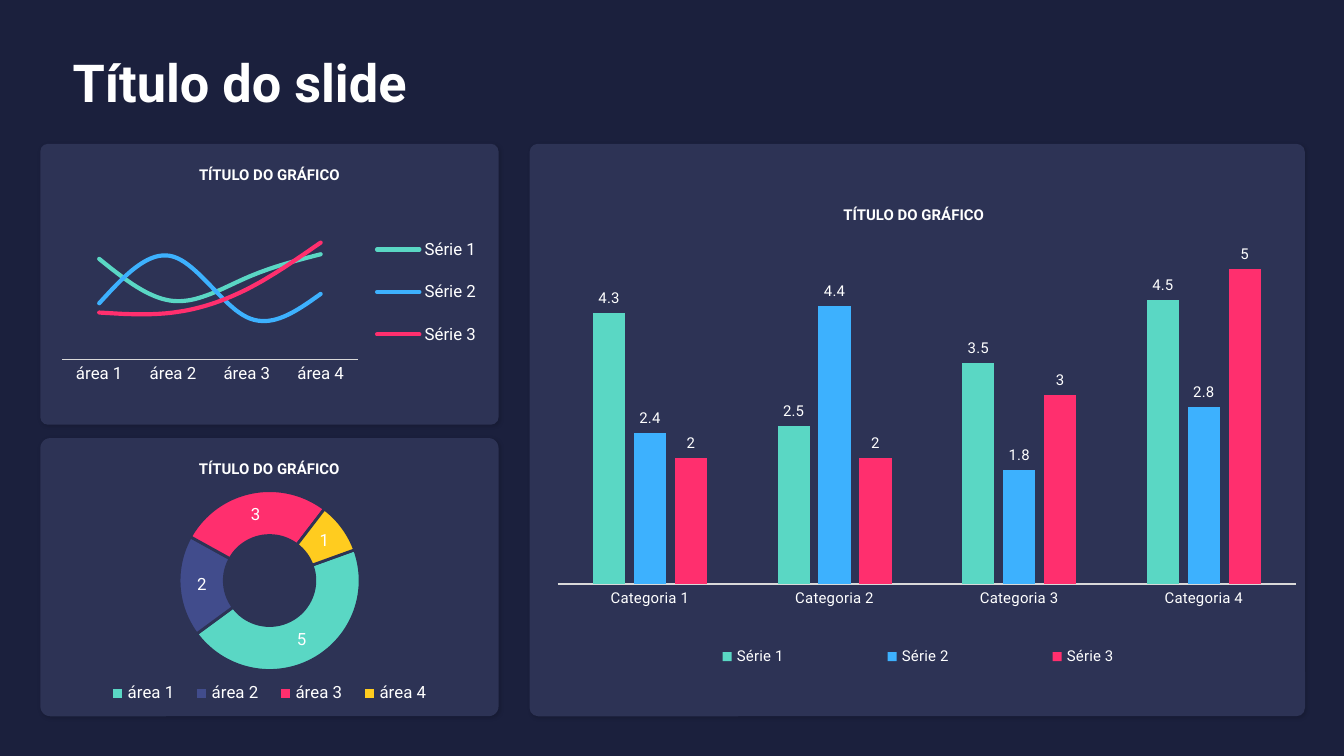
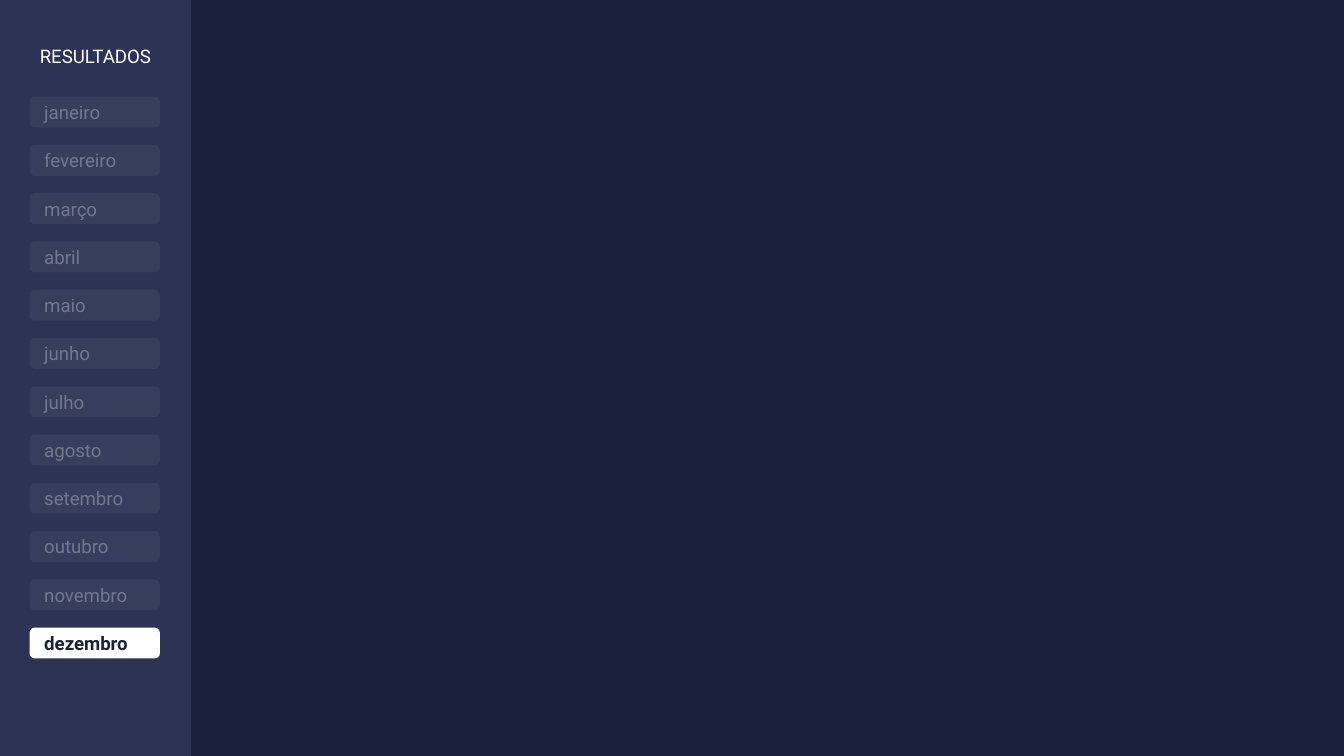
"""Builds a dashboard slide with three charts and a monthly results slide."""
from lxml import etree
from pptx import Presentation
from pptx.chart.data import CategoryChartData
from pptx.dml.color import RGBColor
from pptx.enum.chart import XL_CHART_TYPE, XL_LEGEND_POSITION, XL_MARKER_STYLE, XL_TICK_LABEL_POSITION, XL_TICK_MARK
from pptx.enum.shapes import MSO_SHAPE
from pptx.enum.text import MSO_ANCHOR, MSO_AUTO_SIZE, PP_ALIGN
from pptx.oxml import parse_xml
from pptx.oxml.ns import nsdecls, qn
from pptx.util import Inches, Pt

LINE, BARS, RING = XL_CHART_TYPE.LINE, XL_CHART_TYPE.COLUMN_CLUSTERED, XL_CHART_TYPE.DOUGHNUT
BOTTOM, RIGHT = XL_LEGEND_POSITION.BOTTOM, XL_LEGEND_POSITION.RIGHT
NO_MARKER, NO_TICK, NEXT_TO_AXIS = XL_MARKER_STYLE.NONE, XL_TICK_MARK.NONE, XL_TICK_LABEL_POSITION.NEXT_TO_AXIS
RECT, ROUND = MSO_SHAPE.RECTANGLE, MSO_SHAPE.ROUNDED_RECTANGLE
LEFT, CENTER = PP_ALIGN.LEFT, PP_ALIGN.CENTER
TOP, MIDDLE = MSO_ANCHOR.TOP, MSO_ANCHOR.MIDDLE
GROW = MSO_AUTO_SIZE.SHAPE_TO_FIT_TEXT

SLIDE_W = 10
SLIDE_H = SLIDE_W * 9 / 16
FONT = "Roboto"
NAVY, PANEL, WHITE, AXIS = "1B203D", "2D3355", "FFFFFF", "D9D9D9"
TEAL, BLUE, INDIGO, PINK, YELLOW = "5AD7C4", "3DB1FE", "414C8C", "FF2F6E", "FFCC1F"
SERIES_COLORS = [TEAL, BLUE, PINK]
RING_COLORS = [TEAL, INDIGO, PINK, YELLOW]

TITLE = "Título do slide"
CHART_TITLE = "TÍTULO DO GRÁFICO"
AREAS = [f"área {n}" for n in range(1, 5)]
CATEGORIES = [f"Categoria {n}" for n in range(1, 5)]
CARDS = [
    ((0.3, 1.07, 3.41, 2.09), 0.027, (0.56, 1.18, 2.89, 0.24)),
    ((0.3, 3.26, 3.41, 2.07), 0.036, (0.79, 3.37, 2.43, 0.24)),
    ((3.94, 1.07, 5.77, 4.26), 0.015, (5.23, 1.48, 3.14, 0.24)),
]
CHARTS = [
    dict(kind=LINE, box=(0.31, 1.48, 3.35, 1.67), size=9, cats=AREAS, top=120,
         series={"Série 1": (86, 50, 70, 90), "Série 2": (48, 88, 36, 56), "Série 3": (40, 40, 60, 100)},
         plot=(0.046, 0.091, 0.656, 0.624), legend=(0.73, 0.08, 0.25, 0.67), side=RIGHT),
    dict(kind=RING, box=(0.35, 3.64, 3.31, 1.65), size=9, cats=AREAS,
         series={"Series 1": (5, 2, 3, 1)},
         plot=(0.252, 0, 0.497, 0.817), legend=(0.11, 0.85, 0.78, 0.14), side=BOTTOM),
    dict(kind=BARS, box=(4.02, 1.53, 5.63, 3.61), size=8, cats=CATEGORIES, top=6,
         series={"Série 1": (4.3, 2.5, 3.5, 4.5), "Série 2": (2.4, 4.4, 1.8, 2.8), "Série 3": (2, 2, 3, 5)},
         plot=(0.023, 0, 0.977, 0.78), legend=(0.11, 0.88, 0.78, 0.1), side=BOTTOM),
]
RESULTS = "RESULTADOS"
MONTHS = ["janeiro", "fevereiro", "março", "abril", "maio", "junho", "julho",
          "agosto", "setembro", "outubro", "novembro", "dezembro"]
ACTIVE = "dezembro"
MONTH_LEFT, MONTH_W, MONTH_H = 0.22, 0.97, 0.23
FIRST_TOP, LAST_TOP = 0.72, 4.67


def paint(fill, color):
    fill.solid()
    fill.fore_color.rgb = RGBColor.from_string(color)


def fade(sp, parent, percent):
    for clr in sp.element.xpath(f".//{parent}/a:solidFill/a:srgbClr"):
        etree.SubElement(clr, qn("a:alpha")).set("val", str(percent * 1000))


def place(sp, box):
    sp.left, sp.top, sp.width, sp.height = map(Inches, box)


def style_font(font, size, color=WHITE, bold=False):
    font.name, font.size, font.bold = FONT, Pt(size), bold
    paint(font.fill, color)


def write(sp, text, size, color=WHITE, bold=False, align=LEFT, anchor=TOP):
    tf = sp.text_frame
    tf.word_wrap, tf.vertical_anchor = True, anchor
    tf.text = text
    p = tf.paragraphs[0]
    p.alignment = align
    style_font(p.runs[0].font, size, color, bold)


def add_title(s, text, box, size, bold=False, align=LEFT):
    place(s.shapes.title, box)
    write(s.shapes.title, text, size, bold=bold, align=align)
    s.shapes.title.text_frame.auto_size = GROW


def add_panel(s, kind, box, color):
    sp = s.shapes.add_shape(kind, *map(Inches, box))
    sp.shadow.inherit = False
    paint(sp.fill, color)
    sp.line.fill.background()
    return sp


def add_card(s, box, radius, title_box):
    card = add_panel(s, ROUND, box, PANEL)
    card.adjustments[0] = radius
    effects = card.element.xpath(".//a:effectLst")[0]
    effects.append(parse_xml(
        f'<a:outerShdw {nsdecls("a")} blurRad="25400" dist="12700" dir="2700000">'
        '<a:srgbClr val="000000"><a:alpha val="15000"/></a:srgbClr></a:outerShdw>'))
    tb = s.shapes.add_textbox(*map(Inches, title_box))
    write(tb, CHART_TITLE, 8, bold=True, align=CENTER)
    tb.text_frame.auto_size = GROW


def set_layout(parent, index, box, inner=False):
    for old in parent.findall(qn("c:layout")):
        parent.remove(old)
    target = '<c:layoutTarget val="inner"/>' if inner else ""
    modes = "".join(f'<c:{k}Mode val="edge"/>' for k in "xy")
    sizes = "".join(f'<c:{k} val="{v}"/>' for k, v in zip("xywh", box))
    parent.insert(index, parse_xml(
        f'<c:layout {nsdecls("c")}><c:manualLayout>{target}{modes}{sizes}</c:manualLayout></c:layout>'))


def style_axes(chart, size, top):
    value, category = chart.value_axis, chart.category_axis
    value.minimum_scale, value.maximum_scale = 0, top
    value.major_tick_mark = value.minor_tick_mark = NO_TICK
    value.has_major_gridlines = value.visible = False
    category.major_tick_mark = category.minor_tick_mark = NO_TICK
    category.tick_label_position = NEXT_TO_AXIS
    paint(category.format.line.fill, AXIS)
    category.format.line.width = Pt(0.75)
    style_font(category.tick_labels.font, size)


def style_series(chart, kind):
    for ser, color in zip(chart.plots[0].series, SERIES_COLORS):
        if kind == LINE:
            ser.smooth = True
            ser.marker.style = NO_MARKER
            paint(ser.format.line.fill, color)
            ser.format.line.width = Pt(2.25)
        elif kind == BARS:
            paint(ser.format.fill, color)
        else:
            for i, slice_color in enumerate(RING_COLORS):
                fmt = ser.points[i].format
                paint(fmt.fill, slice_color)
                paint(fmt.line.fill, PANEL)
                fmt.line.width = Pt(1.5)
    if kind == LINE:
        for ln in chart.element.xpath(".//c:ser/c:spPr/a:ln"):
            ln.set("cap", "rnd")


def add_chart(s, kind, box, size, cats, series, plot, legend, side, top=None):
    data = CategoryChartData()
    data.categories = cats
    for name, values in series.items():
        data.add_series(name, values)
    chart = s.shapes.add_chart(kind, *map(Inches, box), data).chart
    style_font(chart.font, size)
    chart.has_title = False
    chart.has_legend = True
    chart.legend.position = side
    chart.legend.include_in_layout = False
    style_font(chart.legend.font, size)
    set_layout(chart.element.xpath(".//c:plotArea")[0], 0, plot, inner=True)
    set_layout(chart.element.xpath(".//c:legend")[0], 1, legend)
    plots = chart.plots[0]
    plots.vary_by_categories = kind == RING
    style_series(chart, kind)
    if kind != LINE:
        plots.has_data_labels = True
        plots.data_labels.show_value = True
        plots.data_labels.show_percentage = False
        style_font(plots.data_labels.font, size)
    if kind == RING:
        for tag, val in (("firstSliceAng", 70), ("holeSize", 55)):
            chart.element.xpath(f".//c:{tag}")[0].set("val", str(val))
    else:
        style_axes(chart, size, top)
    if kind == BARS:
        plots.gap_width, plots.overlap = 219, -27


def build_dashboard(s):
    add_title(s, TITLE, (0.44, 0.32, 4.42, 0.57), 28, bold=True)
    for card in CARDS:
        add_card(s, *card)
    for chart in CHARTS:
        add_chart(s, **chart)


def build_results(s):
    sidebar = add_panel(s, RECT, (0, 0, 1.42, SLIDE_H), PANEL)
    s.shapes.title.element.addprevious(sidebar.element)
    add_title(s, RESULTS, (0.13, 0.28, 1.16, 0.27), 10, align=CENTER)
    pitch = (LAST_TOP - FIRST_TOP) / (len(MONTHS) - 1)
    for i, month in enumerate(MONTHS):
        active = month == ACTIVE
        sp = add_panel(s, ROUND, (MONTH_LEFT, FIRST_TOP + i * pitch, MONTH_W, MONTH_H), WHITE)
        write(sp, month, 10, NAVY if active else WHITE, active, anchor=MIDDLE)
        if not active:
            fade(sp, "p:spPr", 5)
            fade(sp, "a:rPr", 30)


def main():
    prs = Presentation()
    prs.slide_width, prs.slide_height = Inches(SLIDE_W), Inches(SLIDE_H)
    paint(prs.slide_master.background.fill, NAVY)
    for build in (build_dashboard, build_results):
        build(prs.slides.add_slide(prs.slide_layouts[5]))
    prs.save("out.pptx")


if __name__ == "__main__":
    main()
